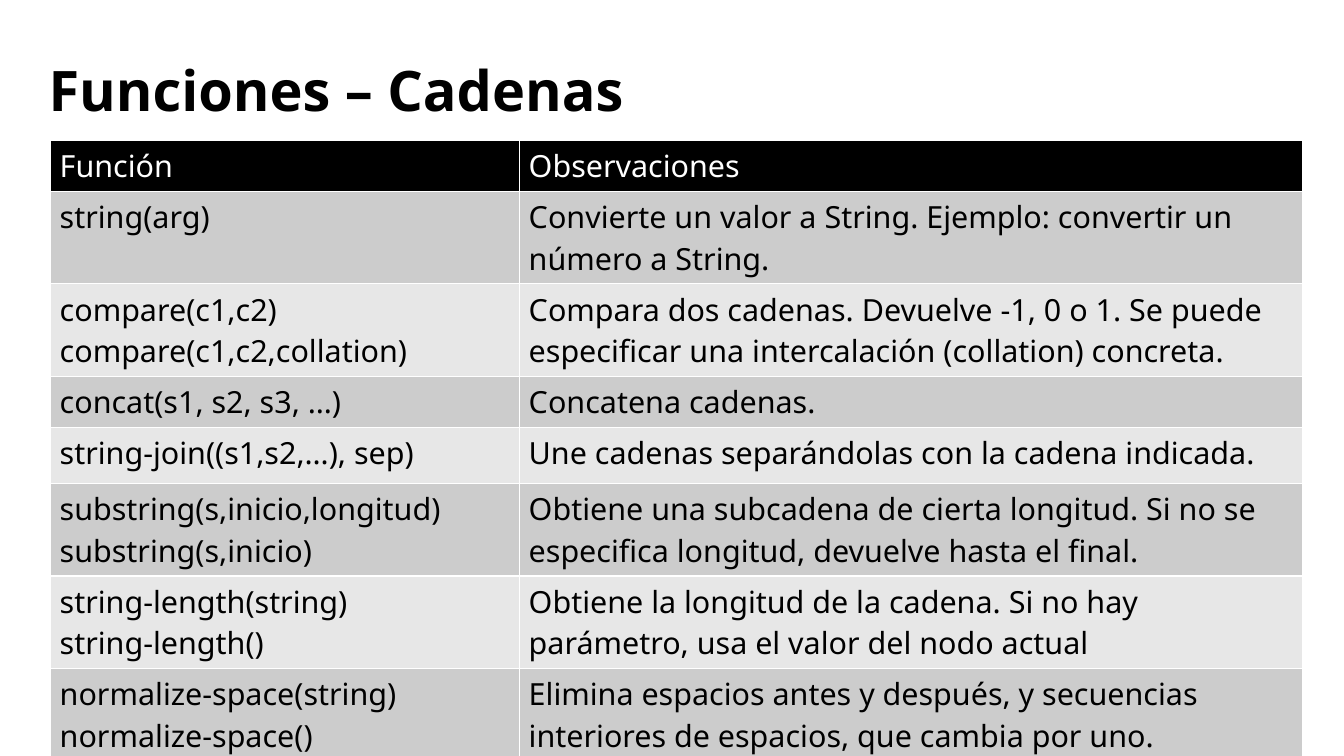
from dataclasses import dataclass

from lxml.etree import SubElement
from pptx import Presentation
from pptx.dml.color import RGBColor
from pptx.enum.text import MSO_ANCHOR
from pptx.oxml.ns import qn
from pptx.slide import Slide
from pptx.table import _Cell
from pptx.text.text import _Paragraph
from pptx.util import Pt


@dataclass(frozen=True)
class Theme:
    font: str = "Noto Sans"
    title_size: float = 44
    table_size: float = 24
    ink: str = "000000"
    paper: str = "FFFFFF"
    bands: tuple[str, str] = ("CCCCCC", "E7E7E7")
    border: float = 1


@dataclass(frozen=True)
class FunctionRow:
    signatures: str
    remark: str
    height: float


THEME = Theme()
ONE_LINE = 40.1
ONE_LINE_TALL = 44.6
TWO_LINES = 72.7
COLUMN_WIDTHS = (369.4, 616.3)
HEADER = FunctionRow("Función", "Observaciones", ONE_LINE)
FUNCTIONS = [
    FunctionRow(
        "string(arg)",
        "Convierte un valor a String. Ejemplo: convertir un número a String.",
        TWO_LINES,
    ),
    FunctionRow(
        "compare(c1,c2)\ncompare(c1,c2,collation)",
        "Compara dos cadenas. Devuelve -1, 0 o 1. Se puede especificar "
        "una intercalación (collation) concreta.",
        TWO_LINES,
    ),
    FunctionRow("concat(s1, s2, s3, …)", "Concatena cadenas.", ONE_LINE),
    FunctionRow(
        "string-join((s1,s2,…), sep)",
        "Une cadenas separándolas con la cadena indicada.",
        ONE_LINE_TALL,
    ),
    FunctionRow(
        "substring(s,inicio,longitud)\nsubstring(s,inicio)",
        "Obtiene una subcadena de cierta longitud. Si no se especifica "
        "longitud, devuelve hasta el final.",
        TWO_LINES,
    ),
    FunctionRow(
        "string-length(string)\nstring-length()",
        "Obtiene la longitud de la cadena. Si no hay parámetro, "
        "usa el valor del nodo actual",
        TWO_LINES,
    ),
    FunctionRow(
        "normalize-space(string)\nnormalize-space()",
        "Elimina espacios antes y después, y secuencias interiores de "
        "espacios, que cambia por uno.",
        TWO_LINES,
    ),
]


def write_span(para: _Paragraph, text: str, size: float, color: str, bold: bool) -> None:
    span = para.add_run()
    span.text = text
    formats = {"name": THEME.font, "size": Pt(size), "bold": bold}
    for name, value in formats.items():
        setattr(span.font, name, value)
    span.font.color.rgb = RGBColor.from_string(color)


def draw_title(page: Slide, text: str) -> None:
    box = page.shapes.add_textbox(Pt(38.2), Pt(20.2), Pt(987.1), Pt(106.6))
    formats = {
        "word_wrap": True,
        "vertical_anchor": MSO_ANCHOR.MIDDLE,
        "margin_left": 0,
        "margin_top": 0,
        "margin_right": 0,
        "margin_bottom": 0,
    }
    for name, value in formats.items():
        setattr(box.text_frame, name, value)
    para = box.text_frame.paragraphs[0]
    para.line_spacing = 0.9
    write_span(para, text, THEME.title_size, THEME.ink, True)


def draw_borders(cell: _Cell) -> None:
    properties = cell._tc.get_or_add_tcPr()
    for tag in ("a:lnL", "a:lnR", "a:lnT", "a:lnB"):
        line = SubElement(properties, qn(tag), w=str(Pt(THEME.border)))
        fill = SubElement(line, qn("a:solidFill"))
        SubElement(fill, qn("a:srgbClr"), val=THEME.paper)


def fill_cell(cell: _Cell, text: str, fill: str, color: str) -> None:
    draw_borders(cell)
    cell.fill.solid()
    cell.fill.fore_color.rgb = RGBColor.from_string(fill)
    frame = cell.text_frame
    for index, line in enumerate(text.split("\n")):
        para = frame.add_paragraph() if index else frame.paragraphs[0]
        write_span(para, line, THEME.table_size, color, False)


def draw_table(page: Slide, rows: list[FunctionRow]) -> None:
    width, height = sum(COLUMN_WIDTHS), sum(row.height for row in rows)
    table = page.shapes.add_table(
        len(rows), len(COLUMN_WIDTHS), Pt(39.8), Pt(110.9), Pt(width), Pt(height)
    ).table
    for column, column_width in zip(table.columns, COLUMN_WIDTHS):
        column.width = Pt(column_width)
    for index, row in enumerate(rows):
        table.rows[index].height = Pt(row.height)
        if index == 0:
            look = (THEME.ink, THEME.paper)
        else:
            look = (THEME.bands[(index - 1) % 2], THEME.ink)
        for column, text in enumerate((row.signatures, row.remark)):
            fill_cell(table.cell(index, column), text, *look)


def main() -> None:
    deck = Presentation()
    deck.slide_width, deck.slide_height = Pt(1058.4), Pt(595.44)
    page = deck.slides.add_slide(deck.slide_layouts[6])
    draw_title(page, "Funciones – Cadenas")
    draw_table(page, [HEADER, *FUNCTIONS])
    deck.save("out.pptx")


if __name__ == "__main__":
    main()
